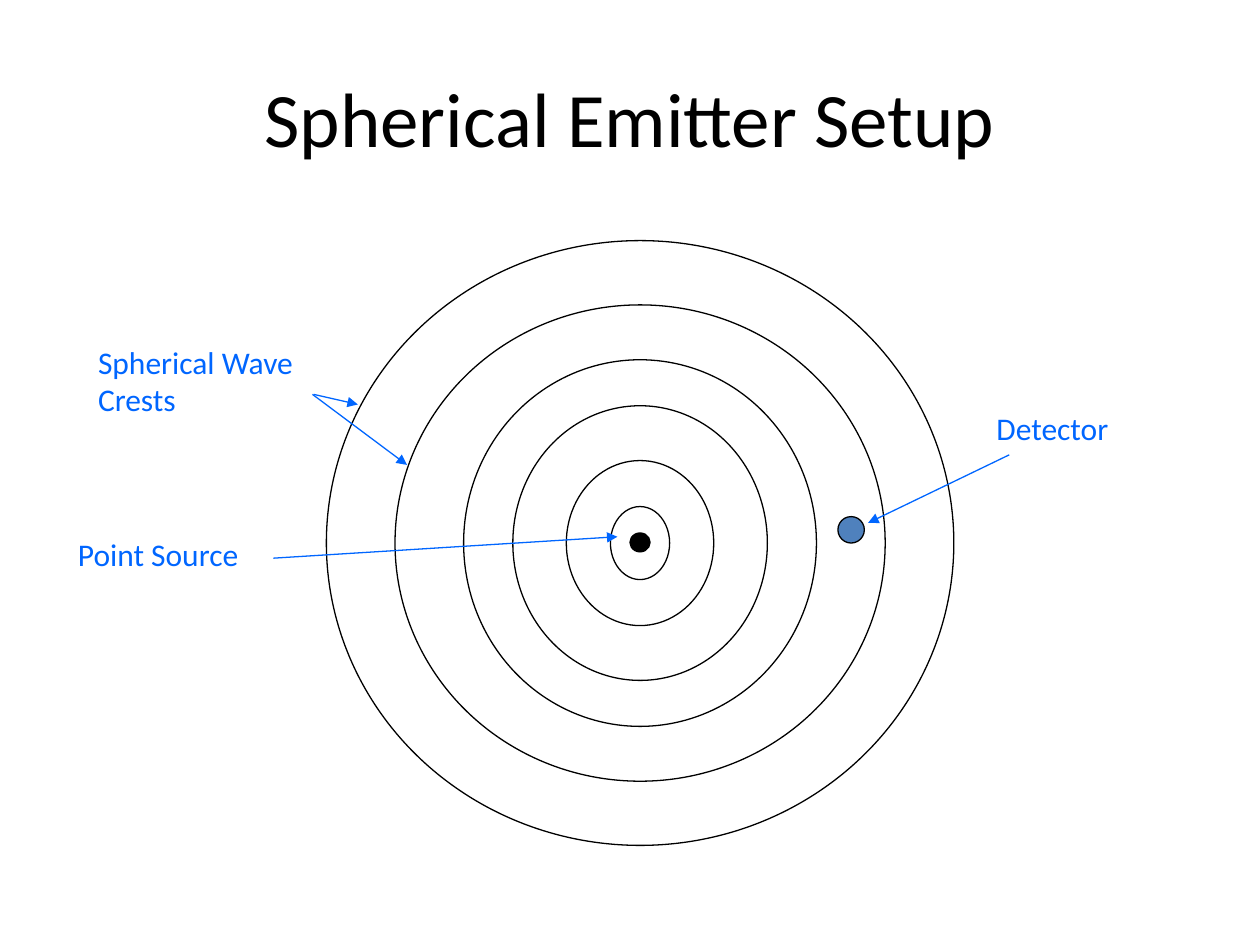
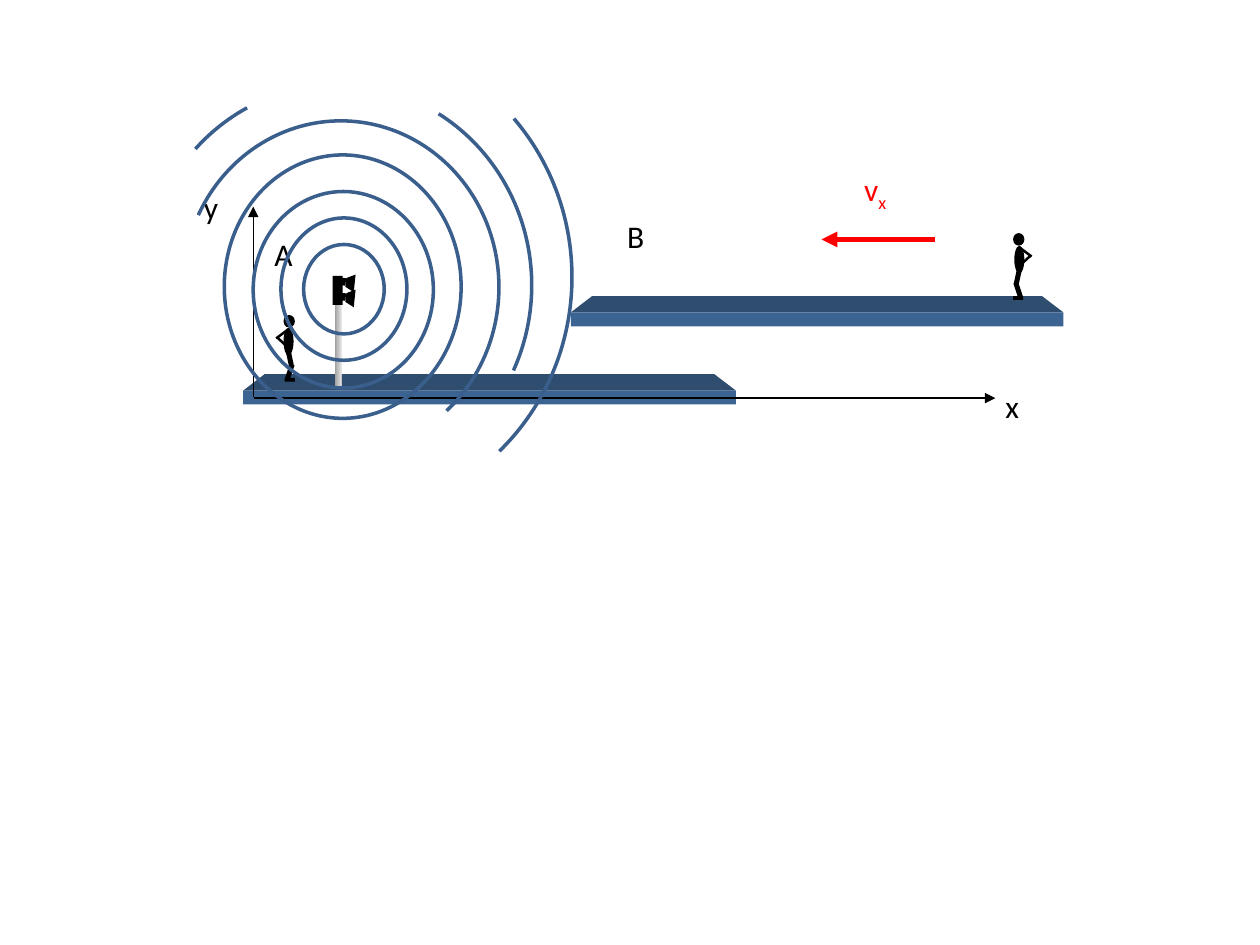
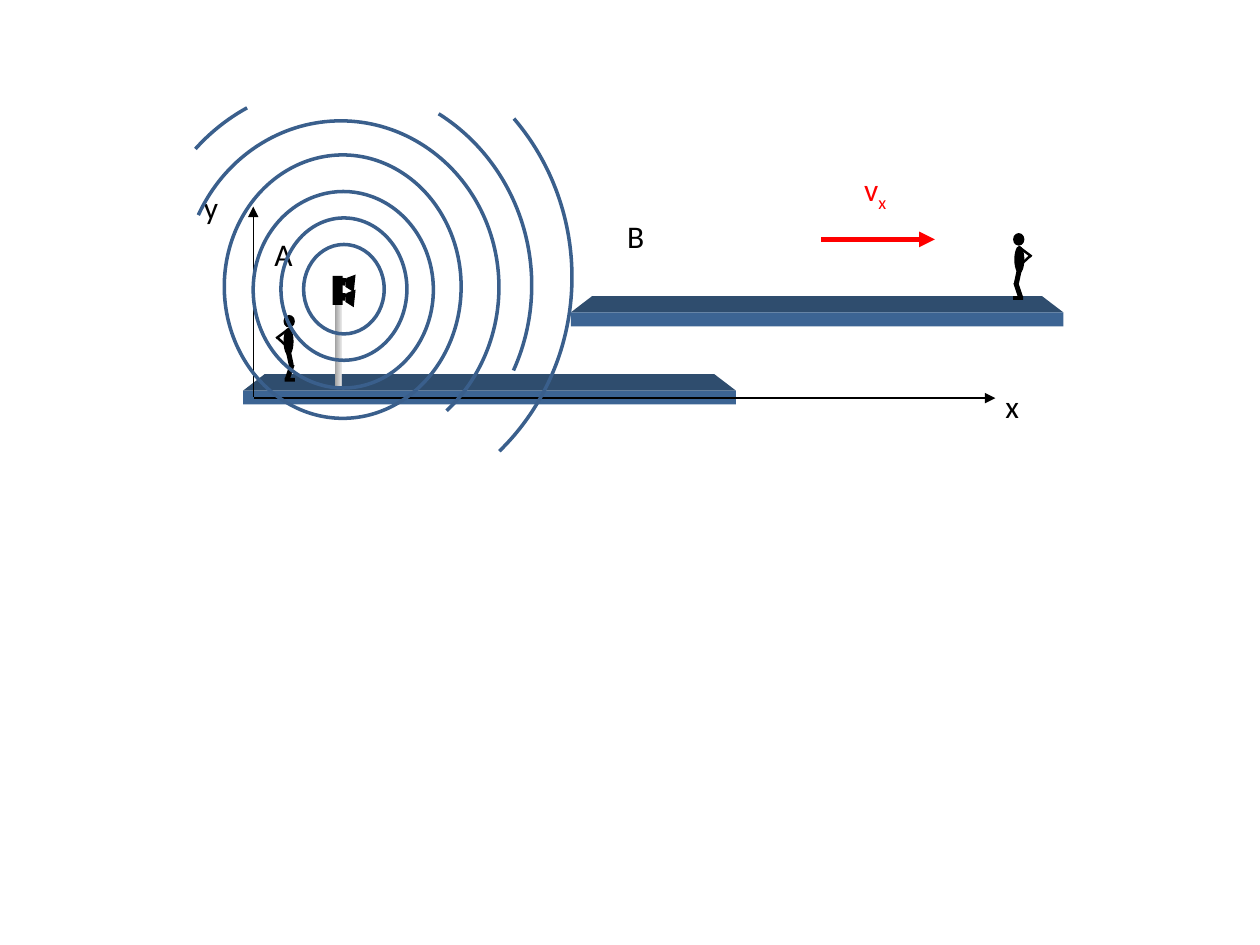
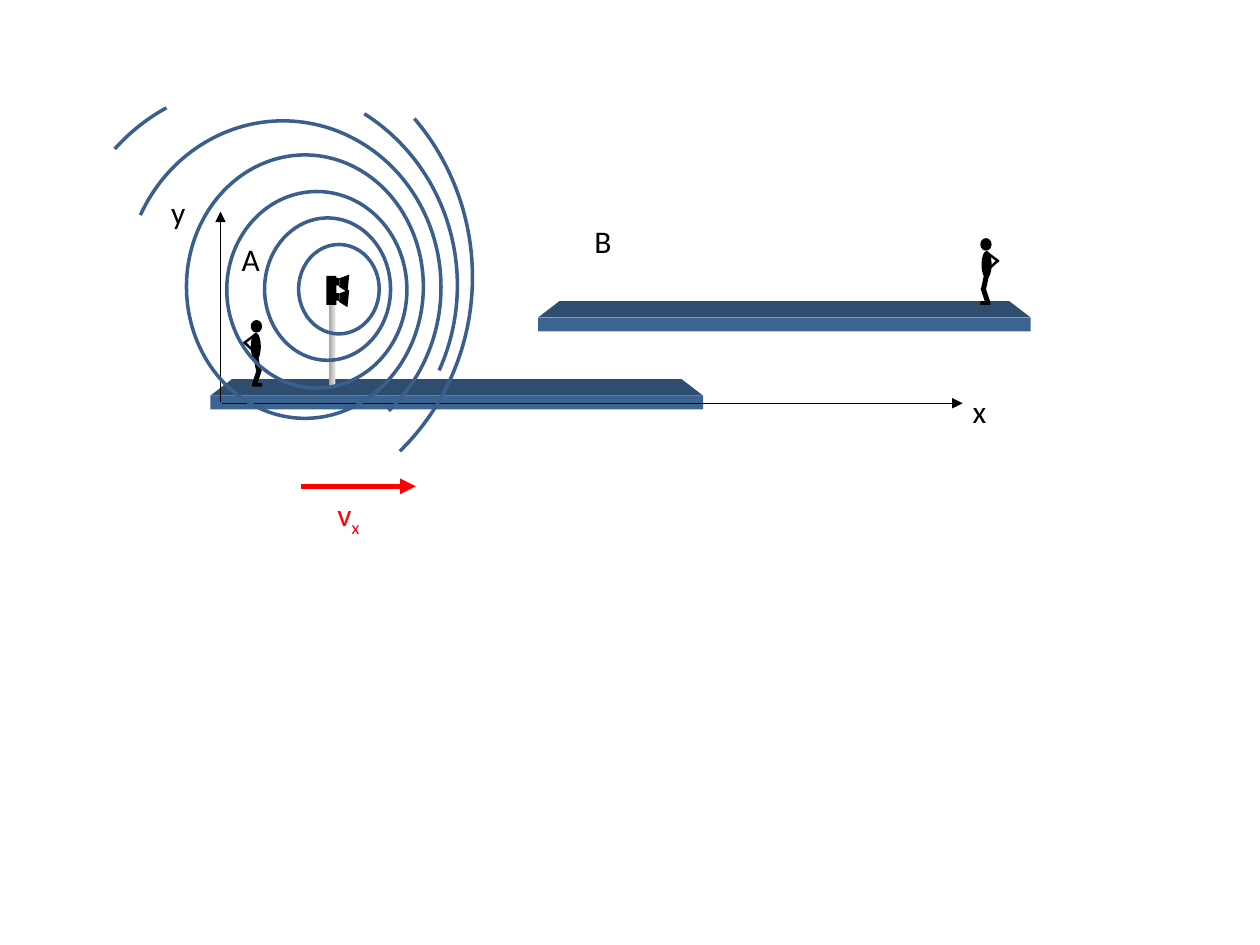
from lxml import etree
from pptx import Presentation
from pptx.dml.color import RGBColor
from pptx.enum.shapes import MSO_CONNECTOR, MSO_SHAPE
from pptx.enum.text import MSO_ANCHOR, MSO_AUTO_SIZE, PP_ALIGN
from pptx.oxml.ns import qn
from pptx.util import Emu, Pt

PX = 9144
SLIDE_SIZE = (1000, 750)
TITLE_ONLY, BLANK = 5, 6
FONT = "Calibri"
STRAIGHT = MSO_CONNECTOR.STRAIGHT
OVAL, RECT = MSO_SHAPE.OVAL, MSO_SHAPE.RECTANGLE
ARC, TRAPEZOID = MSO_SHAPE.ARC, MSO_SHAPE.TRAPEZOID
COLORS = {
    "black": "000000", "white": "FFFFFF", "note": "0066FF", "detector": "4F81BD",
    "wave": "3A5F8C", "velocity": "FF0000", "front": "3C6493", "top": "2F4D6E",
    "pole_dark": "A0A0A0", "pole_light": "E3E3E3",
}

TITLE = ("Spherical Emitter Setup", (50, 30, 900, 125))
RING_CENTER = (508, 431)
RINGS = [(498, 480), (389, 378), (280, 291), (202, 218), (117, 131), (47, 58)]
SOURCE_DOT = (500, 423, 16, 15)
DETECTOR_DOT = (665, 410, 21, 21)
NOTES = [
    ("Point Source", (52, 420, 163, 40), False),
    ("Spherical Wave Crests", (68, 267, 190, 70), True),
    ("Detector", (781, 320, 115, 40), False),
]
NOTE_ARROWS = [
    (217, 443, 490, 426), (249, 313, 284, 321),
    (248, 313, 323, 369), (801, 361, 689, 415),
]

PLATFORMS = [(193, 310), (453, 248)]
PLATFORM_SIZE = (391, 11)
PLATFORM_BEVEL = (17, 13)
AXES = [(201, 315, 201, 164), (202, 316, 790, 316)]
STAGE_LABELS = [
    ("y", (152, 144, 41, 44)), ("x", (788, 302, 41, 44)),
    ("A", (208, 182, 47, 44)), ("B", (488, 167, 47, 44)),
]
PERSON = [
    (OVAL, (2, 0, 9, 10), 0),
    (OVAL, (2, 10, 8, 22), 0),
    (RECT, (0, 9, 2, 12), 53.2),
    (RECT, (0, 16, 2, 11), 312.7),
    (RECT, (5, 28, 4, 12), 347.9),
    (RECT, (5, 39, 4, 12), 18.4),
    (RECT, (3, 50, 8, 3), 0),
]
PERSON_WIDTH = 12
PEOPLE = [(803, 185, True), (223, 250, False)]
POLE = (266, 219, 5, 89)
SPEAKER = [
    (RECT, (269, 221, 6, 5), 276.1),
    (TRAPEZOID, (271, 221, 14, 7), 276.1),
    (RECT, (269, 233, 6, 5), 276.1),
    (TRAPEZOID, (271, 233, 14, 7), 276.1),
    (RECT, (264, 219, 8, 23), 0),
]
TRAPEZOID_SLANT = 0.5
OUTER_ARCS = [
    ((91, 12), 31, (363, 378), (317.11, 48.13)),
    ((114, 55), 67, (308, 319), (300.46, 25.83)),
    ((114, 50), 67, (309, 319), (223.67, 242.8)),
]
INNER_WAVES = [
    ((223, 210), 173, (100, 113), None),
    ((241, 237), 194, (64, 71), None),
    ((201, 180), 152, (143, 156), None),
    ((178, 148), 123, (188, 209), None),
    ((145, 99), 96, (251, 264), (206.84, 49.41)),
]
SCENES = [
    {"moving": False, "stage": (0, 0), "speaker": 0,
     "arrow": (742, 190, 652, 190), "label": (676, 130, 52, 44)},
    {"moving": False, "stage": (0, 0), "speaker": 0,
     "arrow": (652, 190, 742, 190), "label": (676, 130, 52, 44)},
    {"moving": True, "stage": (-26, 4), "speaker": -5,
     "arrow": (239, 386, 330, 386), "label": (258, 388, 52, 44)},
]


def scaled(lengths):
    return [Emu(round(length * PX)) for length in lengths]


def moved(box, dx, dy=0):
    left, top, width, height = box
    return left + dx, top + dy, width, height


def rgb(color):
    return RGBColor.from_string(COLORS[color])


def paint(shape, fill=None, line=None, line_width=0.75):
    shape.shadow.inherit = False
    if fill:
        shape.fill.solid()
        shape.fill.fore_color.rgb = rgb(fill)
    else:
        shape.fill.background()
    if line:
        shape.line.color.rgb = rgb(line)
        shape.line.width = Pt(line_width)
    else:
        shape.line.fill.background()


def add_shape(shapes, kind, box, rotation=0, **look):
    shape = shapes.add_shape(kind, *scaled(box))
    shape.rotation = rotation
    paint(shape, **look)
    return shape


def add_arrow(shapes, ends, color, width=0.75):
    arrow = shapes.add_connector(STRAIGHT, *scaled(ends))
    arrow.line.color.rgb = rgb(color)
    arrow.line.width = Pt(width)
    properties = arrow.element.spPr
    outline = properties.find(qn("a:ln"))
    etree.SubElement(outline, qn("a:tailEnd"), type="triangle")
    etree.SubElement(properties, qn("a:effectLst"))


def add_run(paragraph, text, color, size=18):
    run = paragraph.add_run()
    run.text = text
    for name, value in {"name": FONT, "size": Pt(size)}.items():
        setattr(run.font, name, value)
    run.font.color.rgb = rgb(color)
    return run


def add_label(shapes, text, box, color, wrap=False):
    frame = shapes.add_textbox(*scaled(box)).text_frame
    frame.word_wrap = wrap
    frame.auto_size = MSO_AUTO_SIZE.SHAPE_TO_FIT_TEXT
    paragraph = frame.paragraphs[0]
    add_run(paragraph, text, color)
    return paragraph


def add_title(slide, text, box):
    title = slide.shapes.title
    for name, value in zip(("left", "top", "width", "height"), scaled(box)):
        setattr(title, name, value)
    title.text_frame.vertical_anchor = MSO_ANCHOR.MIDDLE
    paragraph = title.text_frame.paragraphs[0]
    paragraph.alignment = PP_ALIGN.CENTER
    add_run(paragraph, text, "black", 44)


def build_setup(presentation):
    slide = presentation.slides.add_slide(presentation.slide_layouts[TITLE_ONLY])
    add_title(slide, *TITLE)
    shapes = slide.shapes.add_group_shape().shapes
    center_x, center_y = RING_CENTER
    for width, height in RINGS:
        box = (center_x - width / 2, center_y - height / 2, width, height)
        add_shape(shapes, OVAL, box, fill="white", line="black")
    add_shape(shapes, OVAL, SOURCE_DOT, fill="black", line="black")
    add_shape(shapes, OVAL, DETECTOR_DOT, fill="detector", line="black")
    for ends in NOTE_ARROWS:
        add_arrow(shapes, ends, "note")
    for text, box, wrap in NOTES:
        add_label(shapes, text, box, "note", wrap)


def add_platform(shapes, left, top):
    width, height = PLATFORM_SIZE
    inset, depth = PLATFORM_BEVEL
    right, back = left + width, top - depth
    builder = shapes.build_freeform(left, top, scale=PX)
    builder.add_line_segments(
        [(right, top), (right - inset, back), (left + inset, back)])
    paint(builder.convert_to_shape(), fill="top")
    add_shape(shapes, RECT, (left, top, width, height), fill="front")


def add_person(shapes, left, top, mirrored):
    for kind, box, rotation in PERSON:
        x, y, width, height = box
        if mirrored:
            x, rotation = PERSON_WIDTH - x - width, -rotation % 360
        add_shape(shapes, kind, (left + x, top + y, width, height), rotation, fill="black")


def add_stage(shapes, dx, dy):
    for left, top in PLATFORMS:
        add_platform(shapes, left + dx, top + dy)
    for x1, y1, x2, y2 in AXES:
        add_arrow(shapes, (x1 + dx, y1 + dy, x2 + dx, y2 + dy), "black")
    for left, top, mirrored in PEOPLE:
        add_person(shapes.add_group_shape().shapes, left + dx, top + dy, mirrored)
    for text, box in STAGE_LABELS:
        add_label(shapes, text, moved(box, dx, dy), "black")


def add_waves(shapes, waves, moving):
    for lefts, top, size, angles in waves:
        wave = add_shape(shapes, ARC if angles else OVAL, (lefts[moving], top, *size),
                         line="wave", line_width=2)
        for index, degrees in enumerate(angles or ()):
            wave.adjustments[index] = degrees * 0.6


def add_speaker(shapes, dx):
    pole = add_shape(shapes, RECT, moved(POLE, dx))
    pole.fill.gradient()
    pole.fill.gradient_angle = 0
    for stop, color in zip(pole.fill.gradient_stops, ("pole_dark", "pole_light")):
        stop.color.rgb = rgb(color)
    for kind, box, rotation in SPEAKER:
        part = add_shape(shapes, kind, moved(box, dx), rotation, fill="black")
        if kind == TRAPEZOID:
            part.adjustments[0] = TRAPEZOID_SLANT


def build_scene(presentation, scene):
    slide = presentation.slides.add_slide(presentation.slide_layouts[BLANK])
    stage = slide.shapes.add_group_shape().shapes
    add_stage(stage, *scene["stage"])
    add_arrow(stage, scene["arrow"], "velocity", 3)
    paragraph = add_label(stage, "v", scene["label"], "velocity")
    subscript = add_run(paragraph, "x", "velocity")
    subscript.font._element.set("baseline", "-25000")
    emitter = slide.shapes.add_group_shape().shapes
    add_waves(emitter, OUTER_ARCS, scene["moving"])
    add_speaker(emitter, scene["speaker"])
    add_waves(emitter, INNER_WAVES, scene["moving"])


def main():
    presentation = Presentation()
    presentation.slide_width, presentation.slide_height = scaled(SLIDE_SIZE)
    build_setup(presentation)
    for scene in SCENES:
        build_scene(presentation, scene)
    presentation.save("out.pptx")


if __name__ == "__main__":
    main()
